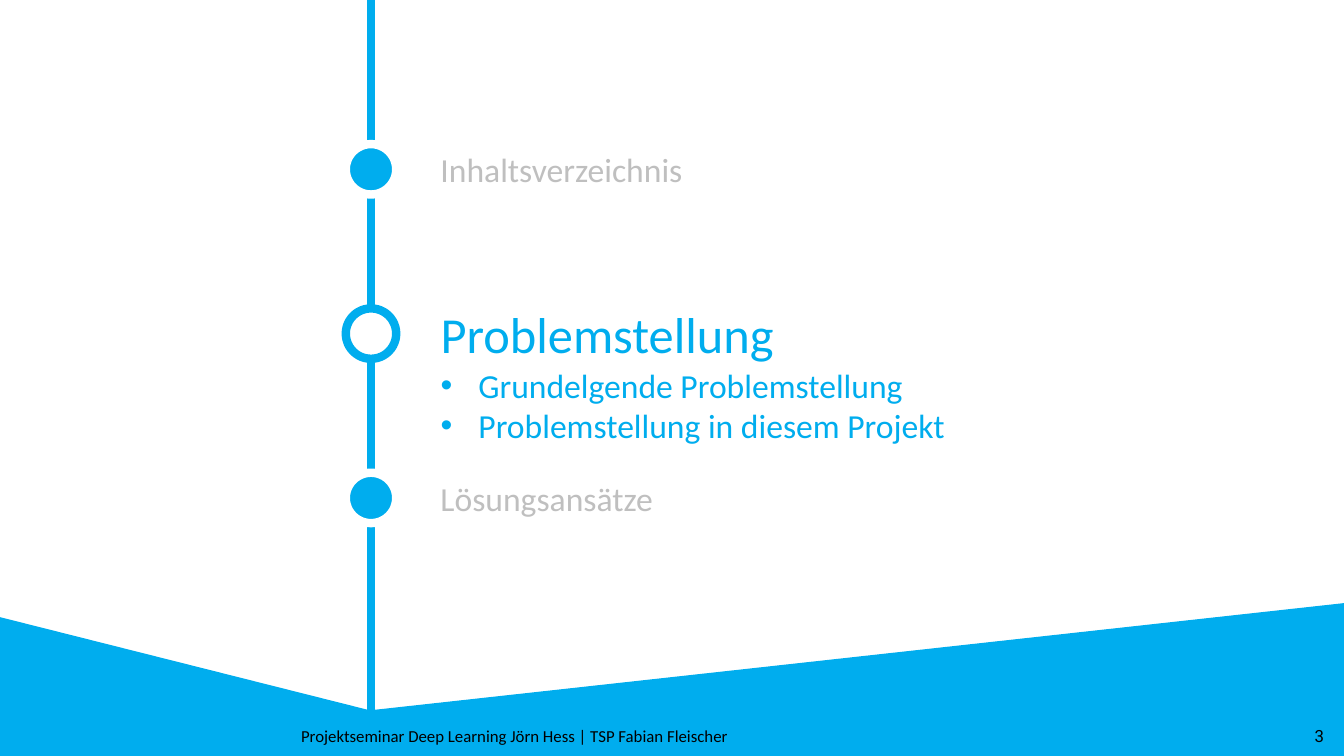
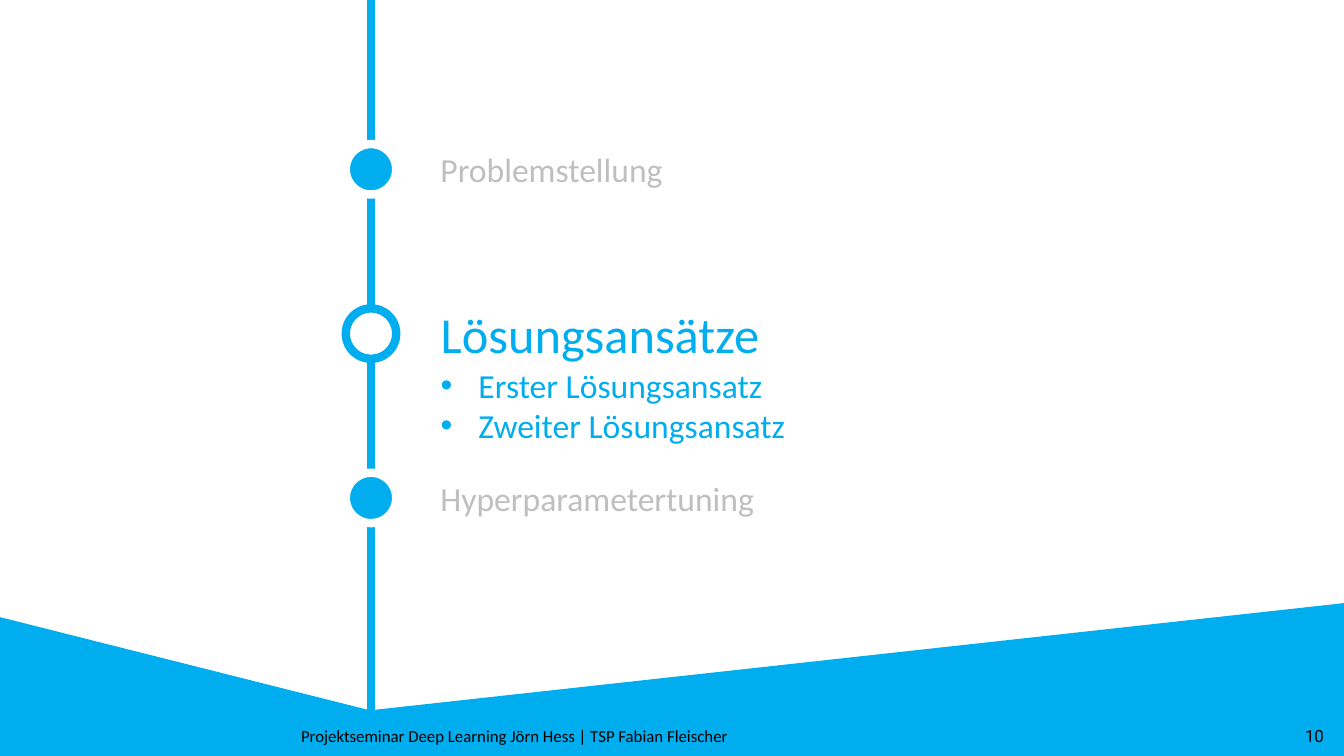
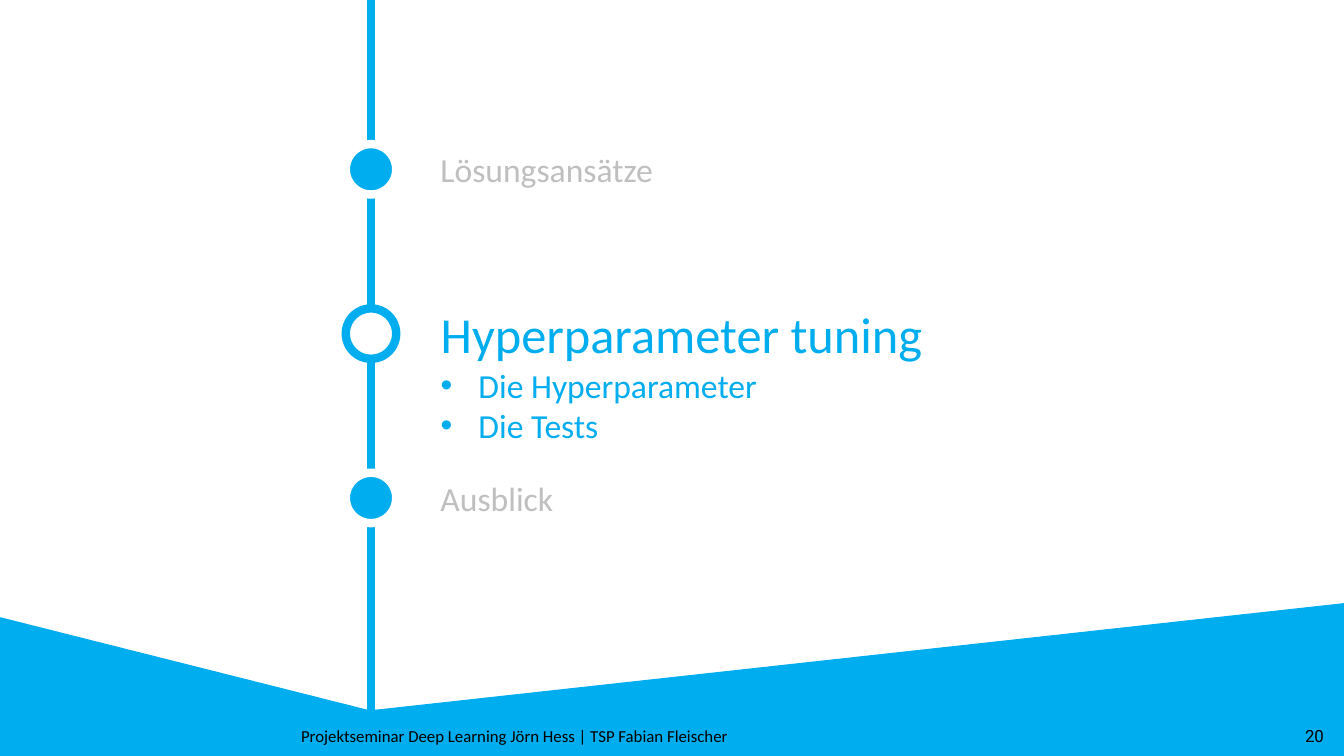
from lxml import etree
from pptx import Presentation
from pptx.dml.color import RGBColor
from pptx.enum.shapes import MSO_CONNECTOR, MSO_SHAPE
from pptx.enum.text import MSO_ANCHOR, MSO_AUTO_SIZE, PP_ALIGN
from pptx.oxml.ns import qn
from pptx.util import Inches, Pt

RECTANGLE, TRIANGLE = MSO_SHAPE.RECTANGLE, MSO_SHAPE.RIGHT_TRIANGLE
NODE = MSO_SHAPE.FLOWCHART_CONNECTOR
STRAIGHT = MSO_CONNECTOR.STRAIGHT
TOP, MIDDLE = MSO_ANCHOR.TOP, MSO_ANCHOR.MIDDLE
LEFT, CENTER, RIGHT = PP_ALIGN.LEFT, PP_ALIGN.CENTER, PP_ALIGN.RIGHT
NO_FIT = MSO_AUTO_SIZE.NONE

COLORS = {"blue": "00ADEE", "white": "FFFFFF", "gray": "BFBFBF", "black": "000000"}
FONT, NUMBER_FONT = "Calibri", "Roboto"
FOOTER = "Projektseminar Deep Learning Jörn Hess | TSP Fabian Fleischer"

LINE_X = 3.68
TEXT_X = 4.27
NODE_SIZE = 0.5
NODE_Y = 3.06
STEP = 1.63

# page number, previous chapter, current chapter, its topics, next chapter
CHAPTERS = [
    (3, "Inhaltsverzeichnis", "Problemstellung",
     ["Grundelgende Problemstellung", "Problemstellung in diesem Projekt"],
     "Lösungsansätze"),
    (10, "Problemstellung", "Lösungsansätze",
     ["Erster Lösungsansatz", "Zweiter Lösungsansatz"],
     "Hyperparametertuning"),
    (20, "Lösungsansätze", "Hyperparameter tuning",
     ["Die Hyperparameter", "Die Tests"],
     "Ausblick"),
]


def color(name):
    return RGBColor.from_string(COLORS[name])


def place(sp, x, y, w, h):
    sp.left, sp.top, sp.width, sp.height = map(Inches, (x, y, w, h))


def add_shape(s, kind, box, fill, line, weight):
    sp = s.shapes.add_shape(kind, *map(Inches, box))
    sp.shadow.inherit = False
    sp.fill.solid()
    sp.fill.fore_color.rgb = color(fill)
    sp.line.color.rgb = color(line)
    sp.line.width = Pt(weight)
    return sp


def write(sp, lines, size, ink, font=FONT, align=LEFT, anchor=TOP):
    tf = sp.text_frame
    tf.word_wrap = True
    tf.auto_size = NO_FIT
    tf.vertical_anchor = anchor
    tf.text = "\n".join(lines)
    for p in tf.paragraphs:
        p.alignment = align
        p.space_before = Pt(0)
        p.font.name = font
        p.font.size = Pt(size)
        p.font.color.rgb = color(ink)


def add_text(s, text, box, size, ink, **style):
    sp = s.shapes.add_textbox(*map(Inches, box))
    write(sp, [text], size, ink, **style)


def add_band(s, layout):
    """Draw the blue band on s and move it to the layout, for all slides."""
    band = [
        (RECTANGLE, (0, 7.11, 13.33, 0.39)),
        (TRIANGLE, (0, 6.13, 3.85, 0.97)),
        (TRIANGLE, (3.25, 5.99, 10.08, 1.11)),
    ]
    parts = [add_shape(s, kind, box, "blue", "blue", 1) for kind, box in band]
    parts[-1].element.spPr.find(qn("a:xfrm")).set("flipH", "1")
    for sp in parts:
        layout.shapes.element.append(sp.element)


def add_footer(s, number):
    add_text(s, FOOTER, (0, 7.1, 10.21, 0.4), 12, "black",
             align=CENTER, anchor=MIDDLE)
    add_text(s, str(number), (10.23, 7.1, 3, 0.4), 12, "black",
             font=NUMBER_FONT, align=RIGHT, anchor=MIDDLE)


def add_timeline(s):
    line = s.shapes.add_connector(STRAIGHT, Inches(LINE_X), 0,
                                  Inches(LINE_X), Inches(7.23))
    line.line.color.rgb = color("blue")
    line.line.width = Pt(6)
    etree.SubElement(line.element.spPr, qn("a:effectLst"))


def add_node(s, y, fill, line):
    box = (LINE_X - NODE_SIZE / 2, y, NODE_SIZE, NODE_SIZE)
    add_shape(s, NODE, box, fill, line, 6)


def add_neighbour(s, text, y):
    add_node(s, y, "blue", "white")
    add_text(s, text, (TEXT_X, y, 6.68, 0.5), 24, "gray")


def add_current(s, heading, topics):
    add_node(s, NODE_Y, "white", "blue")
    title, body = s.shapes.title, s.placeholders[1]
    place(title, TEXT_X, 2.96, 7.26, 0.61)
    write(title, [heading], 36, "blue")
    place(body, TEXT_X, 3.57, 7.26, 0.9)
    write(body, topics, 24, "blue")


def main():
    prs = Presentation()
    prs.slide_width, prs.slide_height = Inches(13.33), Inches(7.5)
    layout = prs.slide_layouts[1]
    for i, (number, previous, heading, topics, following) in enumerate(CHAPTERS):
        s = prs.slides.add_slide(layout)
        if i == 0:
            add_band(s, layout)
        add_footer(s, number)
        add_timeline(s)
        add_current(s, heading, topics)
        add_neighbour(s, previous, NODE_Y - STEP)
        add_neighbour(s, following, NODE_Y + STEP)
    prs.save("out.pptx")


if __name__ == "__main__":
    main()
